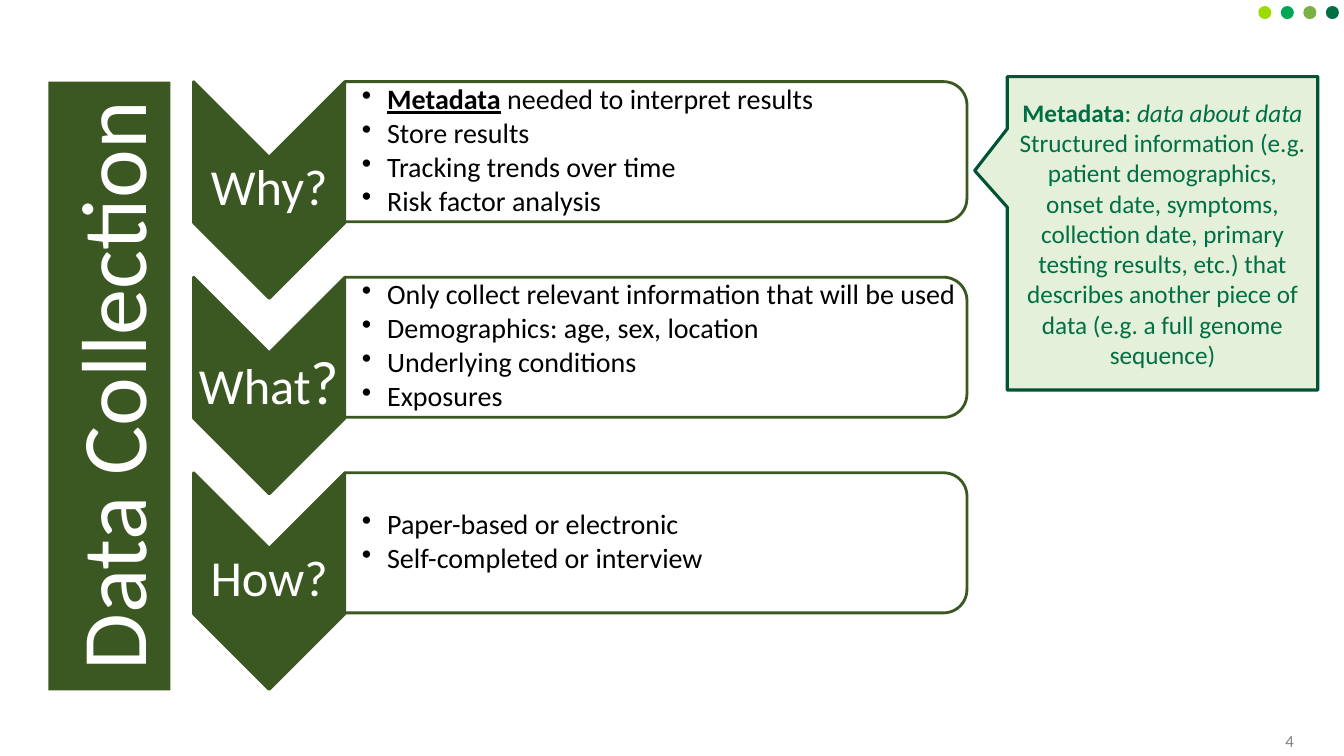
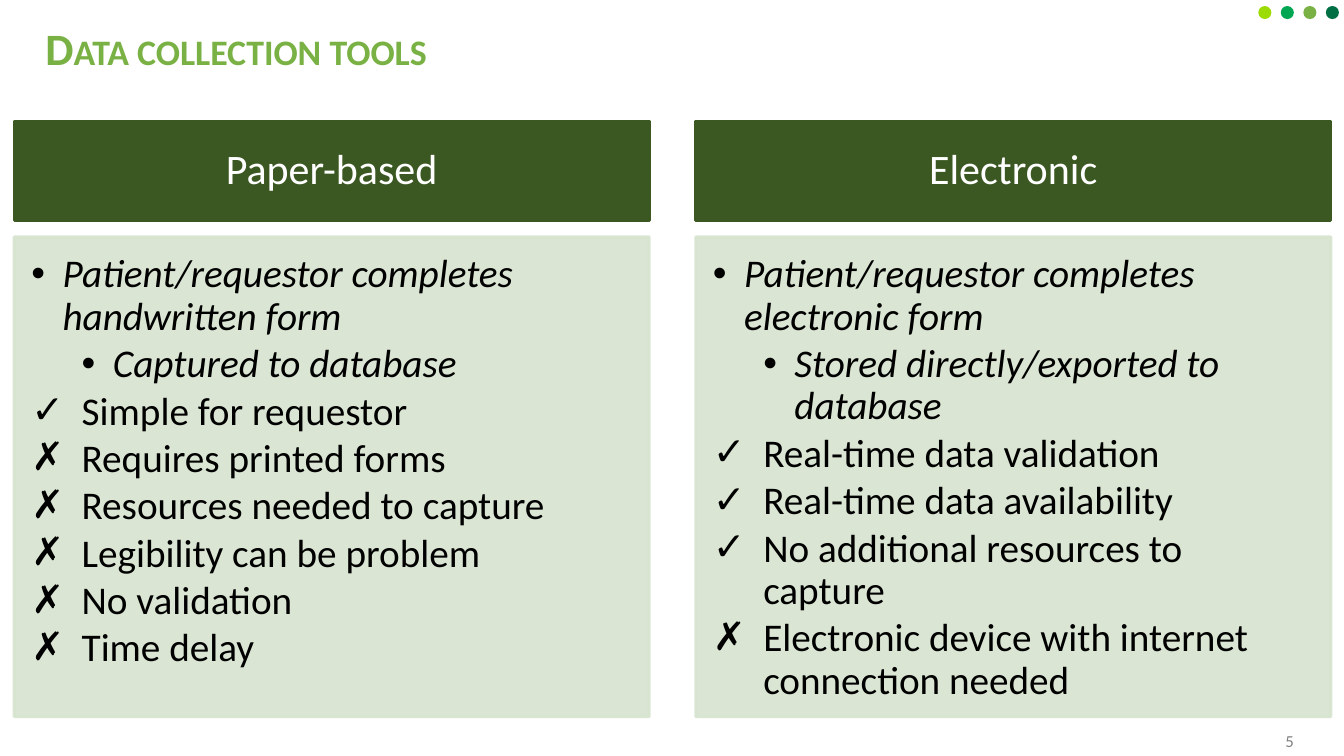
from pptx import Presentation
from pptx.dml.color import RGBColor
from pptx.enum import shapes as kinds, text as texts
from pptx.oxml import ns, xmlchemy
from pptx.util import Inches, Pt
from lxml import etree

FONT = "Calibri"
DARK, LEAF, FOREST, DEEP = "3C5822", "79B144", "006F44", "005333"
PALE, MINT = "D7E4CF", "E4F0D9"
WHITE, BLACK, GREY = "FFFFFF", "000000", "808080"
DOT_COLOURS = ["9DDB04", "00A652", LEAF, FOREST]
TITLE_BOX = (0.35, 0.12, 12.58, 0.71)
CENTER, LEFT, RIGHT = (texts.PP_ALIGN.CENTER, texts.PP_ALIGN.LEFT, texts.PP_ALIGN.RIGHT)
MIDDLE, TOP = texts.MSO_ANCHOR.MIDDLE, texts.MSO_ANCHOR.TOP
BULLET, TICK, CROSS = "•", "✓", "✗"


def rgb(colour):
    return RGBColor.from_string(colour)


def place(shape, box, rotation=0):
    """Fit a shape to a box as seen on the slide, after a quarter turn if any."""
    left, top, width, height = box
    if rotation:
        left, top = left + (width - height) / 2, top + (height - width) / 2
        width, height = height, width
    shape.left, shape.top = Inches(left), Inches(top)
    shape.width, shape.height = Inches(width), Inches(height)
    if rotation:
        shape.rotation = rotation


def paint(shape, fill, line=None, weight=2, opacity=None):
    shape.fill.solid()
    shape.fill.fore_color.rgb = rgb(fill)
    if line:
        shape.line.color.rgb = rgb(line)
        shape.line.width = Pt(weight)
    else:
        shape.line.fill.background()
    if opacity:
        for colour in shape.element.spPr.iter(ns.qn("a:srgbClr")):
            etree.SubElement(colour, ns.qn("a:alpha"), val=str(opacity * 1000))


def add_shape(slide, kind, box, fill, line=None, weight=2, rotation=0):
    shape = slide.shapes.add_shape(kind, 0, 0, 0, 0)
    shape.shadow.inherit = False
    place(shape, box, rotation)
    paint(shape, fill, line, weight)
    return shape


def add_text_box(slide, box):
    return slide.shapes.add_textbox(*(Inches(length) for length in box))


def set_frame(shape, anchor=MIDDLE, insets=(0.1, 0.05, 0.1, 0.05)):
    frame = shape.text_frame
    frame.word_wrap = True
    frame.auto_size = texts.MSO_AUTO_SIZE.NONE
    frame.vertical_anchor = anchor
    (frame.margin_left, frame.margin_top,
     frame.margin_right, frame.margin_bottom) = map(Inches, insets)
    return frame


def write(paragraph, content, size, colour, align=LEFT, spacing=1.0, after=0, **style):
    """Content is a string, or a list of (text, run font settings)."""
    paragraph.alignment = align
    paragraph.line_spacing = spacing
    paragraph.space_before, paragraph.space_after = Pt(0), Pt(after)
    font = paragraph.font
    font.name, font.size, font.color.rgb = FONT, Pt(size), rgb(colour)
    font.bold, font.italic = style.get("bold", False), style.get("italic", False)
    runs = [(content, {})] if isinstance(content, str) else content
    for text, settings in runs:
        run = paragraph.add_run()
        run.text = text
        for name, value in settings.items():
            setattr(run.font, name, value)


def set_bullet(paragraph, mark, indent, hanging):
    properties = paragraph._p.get_or_add_pPr()
    properties.set("marL", str(Inches(indent)))
    properties.set("indent", str(-Inches(hanging)))
    bullet = xmlchemy.OxmlElement("a:buChar")
    bullet.set("char", mark)
    properties.insert_element_before(bullet, "a:tabLst", "a:defRPr", "a:extLst")


def write_list(frame, items, size):
    """Items are (content, mark, indent, hanging, level, italic)."""
    for index, (content, mark, indent, hanging, level, italic) in enumerate(items):
        paragraph = frame.add_paragraph() if index else frame.paragraphs[0]
        paragraph.level = level
        write(paragraph, content, size, BLACK, spacing=0.9,
              after=round(size * 0.13, 1), italic=italic)
        set_bullet(paragraph, mark, indent, hanging)


def add_master_dots(presentation, slide):
    """Draw the corner dots and hand them over to the slide master."""
    for index, colour in enumerate(DOT_COLOURS):
        box = (12.48 + index * 0.67 / 3, 0.06, 0.13, 0.13)
        dot = add_shape(slide, kinds.MSO_SHAPE.OVAL, box, colour)
        presentation.slide_master.shapes.element.append(dot.element)


def add_page_number(slide, number):
    frame = set_frame(add_text_box(slide, (10.14, 7.19, 2.79, 0.31)))
    write(frame.paragraphs[0], str(number), 12, GREY, RIGHT)


# Slide with chevron rows
def add_side_title(slide, box, text):
    title = slide.shapes.title
    place(title, box, rotation=270)
    paint(title, DARK)
    write(set_frame(title).paragraphs[0], text, 66, WHITE, CENTER)


def add_chevron_row(slide, left, top, label, items):
    # Chevron and its label
    add_shape(slide, kinds.MSO_SHAPE.CHEVRON, (left, top, 1.5, 2.15),
              DARK, DARK, rotation=90)
    label_box = add_text_box(slide, (left, top + 0.75, 1.5, 0.64))
    frame = set_frame(label_box, insets=(0.03,) * 4)
    write(frame.paragraphs[0], label, 36, WHITE, CENTER, spacing=0.9)
    # Rounded panel and its list
    add_shape(slide, kinds.MSO_SHAPE.ROUND_2_SAME_RECTANGLE,
              (left + 1.5, top, 6.17, 1.39), WHITE, DARK, rotation=90)
    list_box = add_text_box(slide, (left + 1.51, top + 0.06, 6.1, 1.26))
    frame = set_frame(list_box, insets=(0.16, 0.01, 0.01, 0.01))
    write_list(frame, [(item, BULLET, 0.25, 0.25, 0, False) for item in items], 20)


def add_callout(slide, box, paragraphs):
    callout = add_shape(slide, kinds.MSO_SHAPE.RECTANGULAR_CALLOUT, box, MINT, DEEP, 2.25)
    callout.adjustments[0], callout.adjustments[1] = -0.605, -0.2
    frame = set_frame(callout)
    for index, content in enumerate(paragraphs):
        paragraph = frame.add_paragraph() if index else frame.paragraphs[0]
        write(paragraph, content, 18, FOREST, CENTER)


def build_collection_slide(slide):
    add_side_title(slide, (0.48, 0.81, 1.21, 6.04), "Data Collection")
    rows = [
        ("Why?", [
            [("Metadata", {"bold": True, "underline": True}),
             (" needed to interpret results", {})],
            "Store results", "Tracking trends over time", "Risk factor analysis"]),
        ([("What", {}), ("?", {"size": Pt(44)})], [
            "Only collect relevant information that will be used",
            "Demographics: age, sex, location", "Underlying conditions", "Exposures"]),
        ("How?", ["Paper-based or electronic", "Self-completed or interview"]),
    ]
    for index, (label, items) in enumerate(rows):
        add_chevron_row(slide, 1.92, 0.81 + index * 1.94, label, items)
    add_callout(slide, (9.99, 0.76, 3.08, 3.11), [
        [("Metadata", {"bold": True}), (": ", {}), ("data about data", {"italic": True})],
        "Structured information (e.g. patient demographics, onset date, symptoms, "
        "collection date, primary testing results, etc.) that describes another "
        "piece of data (e.g. a full genome sequence)"])


# Slide with two compared columns
def add_title(slide, text):
    title = slide.shapes.title
    place(title, TITLE_BOX)
    write(set_frame(title).paragraphs[0], text, 32, LEAF, bold=True)
    for run in title.text_frame.paragraphs[0].runs:
        run._r.get_or_add_rPr().set("cap", "small")


def fill_column(heading, body, left, top, label, form, storage, points):
    # Heading band
    place(heading, (left, top, 6.3, 0.99))
    paint(heading, DARK, DARK)
    frame = set_frame(heading, insets=(0.23, 0.13, 0.23, 0.13))
    write(frame.paragraphs[0], label, 30, WHITE, CENTER, spacing=0.9)
    # Description, then advantages and drawbacks
    place(body, (left, top + 1.15, 6.3, 4.76))
    paint(body, PALE, PALE, opacity=90)
    frame = set_frame(body, TOP, (0.17, 0.17, 0.23, 0.26))
    items = [(form, BULLET, 0.31, 0.31, 0, True), (storage, BULLET, 0.81, 0.31, 1, True)]
    items += [(point, mark, 0.5, 0.5, 0, False) for mark, point in points]
    write_list(frame, items, 28)


def build_tools_slide(slide):
    add_title(slide, "Data collection tools")
    columns = [
        ("Paper-based", "Patient/requestor completes handwritten form",
         "Captured to database",
         [(TICK, "Simple for requestor"), (CROSS, "Requires printed forms"),
          (CROSS, "Resources needed to capture"), (CROSS, "Legibility can be problem"),
          (CROSS, "No validation"), (CROSS, "Time delay")]),
        ("Electronic", "Patient/requestor completes electronic form",
         "Stored directly/exported to database",
         [(TICK, "Real-time data validation"), (TICK, "Real-time data availability"),
          (TICK, "No additional resources to capture"),
          (CROSS, "Electronic device with internet connection needed")]),
    ]
    for index, column in enumerate(columns):
        heading, body = (slide.placeholders[2 * index + part] for part in (1, 2))
        fill_column(heading, body, 0.14 + index * 6.76, 1.2, *column)


def main():
    presentation = Presentation()
    presentation.slide_width, presentation.slide_height = Inches(13.33), Inches(7.5)
    layouts = presentation.slide_layouts
    pages = [("Title Only", build_collection_slide), ("Comparison", build_tools_slide)]
    for number, (layout, build) in enumerate(pages, start=4):
        slide = presentation.slides.add_slide(layouts.get_by_name(layout))
        build(slide)
        add_page_number(slide, number)
    add_master_dots(presentation, slide)
    presentation.save("out.pptx")


if __name__ == "__main__":
    main()
